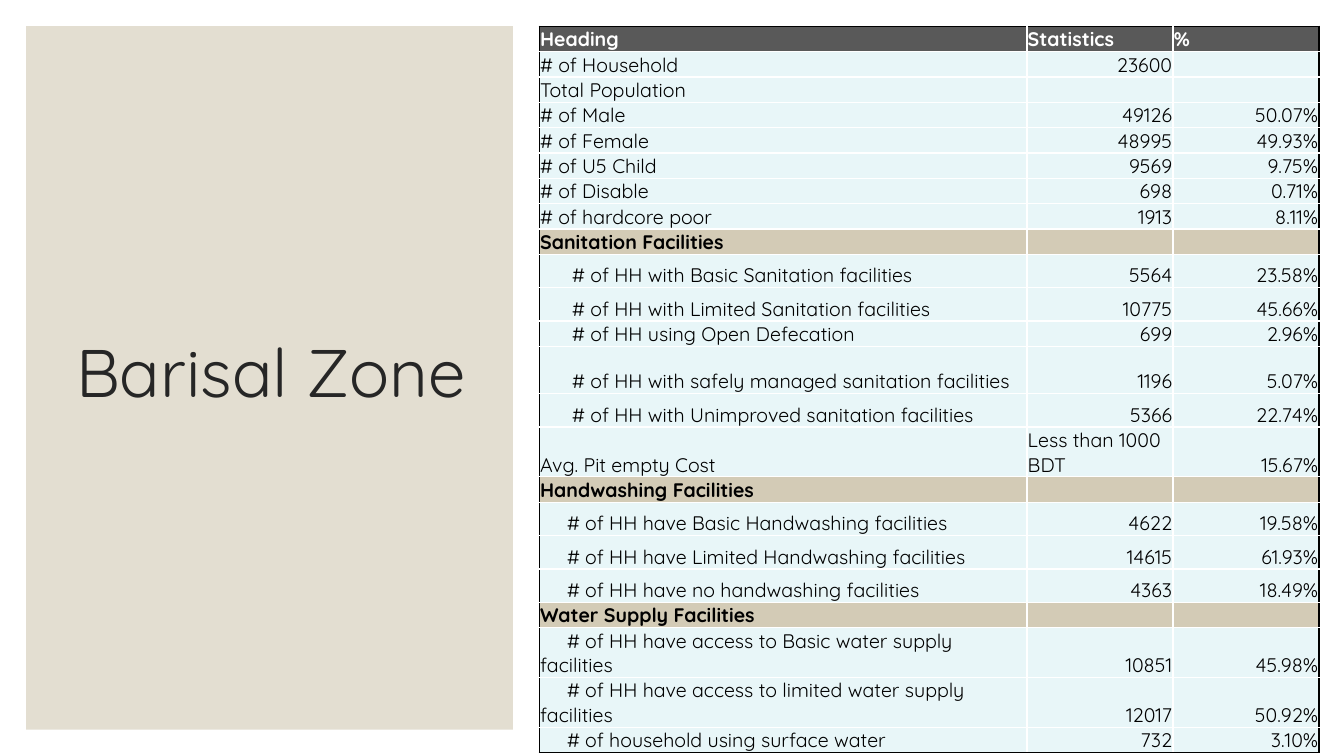
from lxml import etree
from pptx import Presentation
from pptx import util as u
from pptx.dml.color import RGBColor
from pptx.enum import shapes, text
from pptx.oxml.ns import qn

FONT = "Quicksand"
TITLE = "Barisal Zone"
WHITE, BLACK, INK = "FFFFFF", "000000", "262626"
HEAD_FILL, SECTION_FILL, ROW_FILL = "595959", "D3CBB6", "E8F6F8"
PANEL_FILL = "E3DED1"

# Row heights and first-line indents in cm
LOW, MID, TALL = 0.61, 0.84, 1.19
WIDE, NARROW = 0.81, 0.68

# Label, statistic, share, row height, label indent
ROWS = [
    ("Heading", "Statistics", "%", LOW, 0),
    ("# of Household", "23600", "", LOW, 0),
    ("Total Population", "", "", LOW, 0),
    ("# of Male", "49126", "50.07%", LOW, 0),
    ("# of Female", "48995", "49.93%", LOW, 0),
    ("# of U5 Child", "9569", "9.75%", LOW, 0),
    ("# of Disable", "698", "0.71%", LOW, 0),
    ("# of hardcore poor", "1913", "8.11%", LOW, 0),
    ("Sanitation Facilities", "", "", LOW, 0),
    ("# of HH with Basic Sanitation facilities", "5564", "23.58%", MID, WIDE),
    ("# of HH with Limited Sanitation facilities", "10775", "45.66%", MID, WIDE),
    ("# of HH using Open Defecation", "699", "2.96%", LOW, WIDE),
    ("# of HH with safely managed sanitation facilities", "1196", "5.07%", TALL, WIDE),
    ("# of HH with Unimproved sanitation facilities", "5366", "22.74%", MID, WIDE),
    ("Avg. Pit empty Cost", "Less than 1000 BDT", "15.67%", TALL, 0),
    ("Handwashing Facilities", "", "", LOW, 0),
    ("# of HH have Basic Handwashing facilities", "4622", "19.58%", MID, NARROW),
    ("# of HH have Limited Handwashing facilities", "14615", "61.93%", MID, NARROW),
    ("# of HH have no handwashing facilities", "4363", "18.49%", MID, NARROW),
    ("Water Supply Facilities", "", "", LOW, 0),
    ("# of HH have access to Basic water supply facilities", "10851", "45.98%", TALL, NARROW),
    ("# of HH have access to limited water supply facilities", "12017", "50.92%", TALL, NARROW),
    ("# of household using surface water", "732", "3.10%", LOW, NARROW),
]
SECTIONS = {"Sanitation Facilities", "Handwashing Facilities", "Water Supply Facilities"}
COLUMNS = [12.29, 3.68, 3.68]

# Left, top, width, height in cm
SLIDE = (33.87, 19.05)
PANELS = [((0, 0, *SLIDE), WHITE), ((0.66, 0.66, 12.27, 17.73), PANEL_FILL)]
TITLE_BOX = (1.6, 1.55, 10.46, 15.85)
TABLE_BOX = (13.59, 0.66, sum(COLUMNS), sum(row[3] for row in ROWS))


def colour(value):
    return RGBColor.from_string(value)


def cms(values):
    return [u.Cm(value) for value in values]


def set_all(target, values):
    for name, value in values.items():
        setattr(target, name, value)


def style_font(font, size, hue, bold=False):
    set_all(font, {"name": FONT, "size": u.Pt(size), "bold": bold})
    font.color.rgb = colour(hue)


def add_borders(cell, hues):
    properties = cell._tc.get_or_add_tcPr()
    for side, hue in hues.items():
        line = etree.SubElement(properties, qn(f"a:ln{side}"), w=str(u.Pt(1)))
        fill = etree.SubElement(line, qn("a:solidFill"))
        etree.SubElement(fill, qn("a:srgbClr"), val=hue)


def fill_cell(cell, words, row, column):
    label, indent = ROWS[row][0], ROWS[row][4]
    is_head, is_section = row == 0, label in SECTIONS
    add_borders(cell, {
        "L": BLACK if column == 0 else WHITE,
        "R": BLACK if column == len(COLUMNS) - 1 else WHITE,
        "T": BLACK if is_head else WHITE,
        "B": BLACK if row == len(ROWS) - 1 else WHITE,
    })
    cell.fill.solid()
    cell.fill.fore_color.rgb = colour(
        HEAD_FILL if is_head else SECTION_FILL if is_section else ROW_FILL)
    set_all(cell, {
        "margin_left": u.Cm(0.02), "margin_right": u.Cm(0.02),
        "margin_top": u.Cm(0.02), "margin_bottom": 0,
        "vertical_anchor": text.MSO_ANCHOR.BOTTOM,
    })
    para = cell.text_frame.paragraphs[0]
    # Figures sit right, words sit left
    is_figure = words[:1].isdigit()
    para.alignment = text.PP_ALIGN.RIGHT if is_figure else text.PP_ALIGN.LEFT
    if column == 0 and indent:
        para._p.get_or_add_pPr().set("indent", str(u.Cm(indent)))
    if words:
        span = para.add_run()
        span.text = words
        style_font(span.font, 14, WHITE if is_head else BLACK, is_head or is_section)
    else:
        etree.SubElement(para._p, qn("a:endParaRPr"), sz="1400")


def main():
    deck = Presentation()
    deck.slide_width, deck.slide_height = cms(SLIDE)
    page = deck.slides.add_slide(deck.slide_layouts[5])

    # Panels behind the title
    title = page.shapes.title
    for place, hue in PANELS:
        panel = page.shapes.add_shape(shapes.MSO_SHAPE.RECTANGLE, *cms(place))
        panel.shadow.inherit = False
        panel.fill.solid()
        panel.fill.fore_color.rgb = colour(hue)
        panel.line.fill.background()
        title._element.addprevious(panel._element)

    # Title
    set_all(title, dict(zip(("left", "top", "width", "height"), cms(TITLE_BOX))))
    title.text_frame.text = TITLE
    set_all(title.text_frame, {"vertical_anchor": text.MSO_ANCHOR.MIDDLE, "word_wrap": True})
    para = title.text_frame.paragraphs[0]
    set_all(para, {"alignment": text.PP_ALIGN.CENTER, "line_spacing": 0.9})
    style_font(para.runs[0].font, 48, INK)

    # Statistics table
    table = page.shapes.add_table(len(ROWS), len(COLUMNS), *cms(TABLE_BOX)).table
    set_all(table, {"first_row": False, "horz_banding": False})
    for column, width in zip(table.columns, COLUMNS):
        column.width = u.Cm(width)
    for row, values in enumerate(ROWS):
        table.rows[row].height = u.Cm(values[3])
        for column, words in enumerate(values[:3]):
            fill_cell(table.cell(row, column), words, row, column)

    deck.save("out.pptx")


if __name__ == "__main__":
    main()
